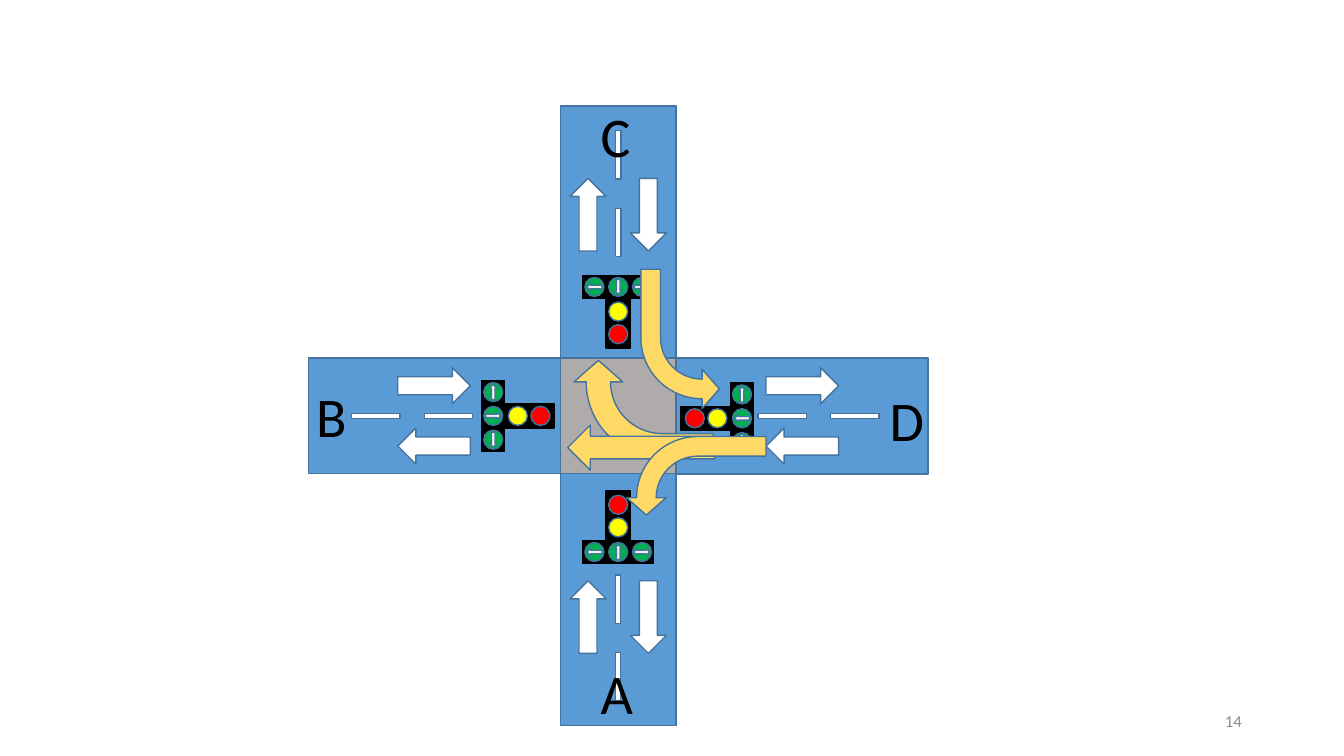
"""Build a slide showing a signalled four-way crossing with turning paths."""
from dataclasses import dataclass
from math import cos, radians, sin

from pptx import Presentation
from pptx.dml.color import RGBColor
from pptx.enum.shapes import MSO_SHAPE
from pptx.enum.text import MSO_ANCHOR, PP_ALIGN
from pptx.oxml.ns import qn
from pptx.util import Cm, Pt

ROAD = RGBColor(0x5B, 0x9B, 0xD5)
JUNCTION = RGBColor(0xAF, 0xAB, 0xAB)
OUTLINE = RGBColor(0x43, 0x73, 0x9E)
WHITE = RGBColor(0xFF, 0xFF, 0xFF)
BLACK = RGBColor(0x00, 0x00, 0x00)
GREEN = RGBColor(0x00, 0xB0, 0x50)
YELLOW = RGBColor(0xFF, 0xFF, 0x00)
RED = RGBColor(0xFF, 0x00, 0x00)
GLYPH = RGBColor(0xF2, 0xF2, 0xF2)
PATH = RGBColor(0xFF, 0xD9, 0x66)
GREY = RGBColor(0x8C, 0x8C, 0x8C)
FONT = "Calibri"
ROAD_LENGTH, ROAD_WIDTH = 6.35, 2.92
LANE = 0.76
BULB_GAP = 0.6


@dataclass
class Frame:
    """A centre in cm and a clockwise turn in degrees; x runs across, y outward."""
    x: float
    y: float
    turn: int = 0

    def point(self, across, out):
        """Return the slide position of a point in this frame."""
        c, s = cos(radians(self.turn)), sin(radians(self.turn))
        return self.x + across * c - out * s, self.y + across * s + out * c

    def shifted(self, across, out):
        """Return a frame with the same turn, centred on the given point."""
        return Frame(*self.point(across, out), self.turn)


@dataclass
class Arm:
    """The settings of one road leading to the junction."""
    label: str
    turn: int
    label_at: tuple
    dashes: tuple
    lanes_out: float
    signal_at: tuple


ARMS = (
    Arm("A", 0, (-0.09, 6.96), (4.62, 6.58), 5.07, (0, 2.81)),
    Arm("C", 180, (-0.09, -7.06), (4.62, 6.58), 5.07, (0, 2.63)),
    Arm("D", 270, (7.19, 0.08), (4.13, 5.96), 4.64, (-0.06, 2.5)),
    Arm("B", 90, (-7.26, 0), (4.28, 6.11), 4.64, (0, 2.53)),
)


def add_part(slide, kind, frame, centre, size, fill, turn=0, line=OUTLINE):
    """Add a filled shape centred on a point of the frame."""
    (x, y), (width, height) = frame.point(*centre), size
    part = slide.shapes.add_shape(kind, Cm(x - width / 2), Cm(y - height / 2),
                                  Cm(width), Cm(height))
    part.rotation = (frame.turn + turn) % 360
    part.shadow.inherit = False
    part.fill.solid()
    part.fill.fore_color.rgb = fill
    part.line.color.rgb = line
    part.line.width = Pt(1)
    return part


def add_text(slide, text, left, top, width, height, size, color,
             align=PP_ALIGN.LEFT, anchor=MSO_ANCHOR.TOP):
    """Add a one-paragraph text box."""
    frame = slide.shapes.add_textbox(Cm(left), Cm(top), Cm(width), Cm(height)).text_frame
    frame.word_wrap = True
    frame.vertical_anchor = anchor
    paragraph = frame.paragraphs[0]
    paragraph.text = text
    paragraph.alignment = align
    paragraph.font.name = FONT
    paragraph.font.size = Pt(size)
    paragraph.font.color.rgb = color


def draw_road(slide, frame, arm):
    """Draw one road with its centre dashes and lane arrows."""
    add_part(slide, MSO_SHAPE.RECTANGLE, frame, (0, (ROAD_WIDTH + ROAD_LENGTH) / 2),
             (ROAD_WIDTH, ROAD_LENGTH), ROAD)
    for out in arm.dashes:
        add_part(slide, MSO_SHAPE.RECTANGLE, frame, (0, out), (0.13, 1.22), WHITE)
    for across, turn in ((-LANE, 270), (LANE, 90)):
        add_part(slide, MSO_SHAPE.RIGHT_ARROW, frame, (across, arm.lanes_out),
                 (1.83, 0.91), WHITE, turn)


def draw_signal(slide, frame):
    """Draw a T-shaped traffic light centred on the frame."""
    row = 0.62
    add_part(slide, MSO_SHAPE.RECTANGLE, frame, (0, 0), (0.61, 1.83), BLACK, line=BLACK)
    for across in (-BULB_GAP, BULB_GAP):
        add_part(slide, MSO_SHAPE.RECTANGLE, frame, (across, row), (0.58, 0.58),
                 BLACK, line=BLACK)
    for out, color in ((0, YELLOW), (-0.57, RED)):
        add_part(slide, MSO_SHAPE.OVAL, frame, (0, out), (0.48, 0.48), color)
    for across, turn in ((-BULB_GAP, 180), (0, 270), (BULB_GAP, 0)):
        add_part(slide, MSO_SHAPE.OVAL, frame, (across, row), (0.48, 0.48), GREEN)
        add_part(slide, MSO_SHAPE.RIGHT_ARROW, frame, (across, row), (0.38, 0.18),
                 GLYPH, turn)


def draw_bend(slide, frame, centre, size, turn, flipped=False):
    """Draw a curved turning path."""
    bend = add_part(slide, MSO_SHAPE.BENT_ARROW, frame, centre, size, PATH, turn)
    for index, value in enumerate((0.25, 0.25, 0.22, 0.78)):
        bend.adjustments[index] = value
    if flipped:
        bend._element.spPr.find(qn("a:xfrm")).set("flipH", "1")


def draw_paths(slide, frame):
    """Draw the permitted movements through the junction."""
    draw_bend(slide, frame, (0.64, -0.17), (2.46, 3.51), 270)
    add_part(slide, MSO_SHAPE.DOWN_ARROW, frame, (0.58, 0.8), (1.14, 3.71), PATH, 90)
    draw_bend(slide, frame, (1.97, 1.51), (1.98, 3.51), 270, flipped=True)
    draw_bend(slide, frame, (1.56, -1.94), (1.98, 3.51), 180, flipped=True)


def draw_crossing(slide, centre):
    """Draw the junction, its four roads, signals, labels and paths."""
    add_part(slide, MSO_SHAPE.RECTANGLE, centre, (0, 0), (ROAD_WIDTH, ROAD_WIDTH), JUNCTION)
    for arm in ARMS:
        frame = Frame(centre.x, centre.y, arm.turn)
        draw_road(slide, frame, arm)
        draw_signal(slide, frame.shifted(*arm.signal_at))
        x, y = centre.point(*arm.label_at)
        add_text(slide, arm.label, x - 0.6, y - 0.98, 1.2, 1.96, 40, BLACK)
    draw_paths(slide, centre)


def main():
    """Create and save the presentation."""
    deck = Presentation()
    deck.slide_width, deck.slide_height = Cm(33.87), Cm(19.05)
    slide = deck.slides.add_slide(deck.slide_layouts[6])
    draw_crossing(slide, Frame(15.58, 10.48))
    add_text(slide, "14", 23.93, 17.65, 7.62, 1.02, 12, GREY,
             PP_ALIGN.RIGHT, MSO_ANCHOR.MIDDLE)
    deck.save("out.pptx")


main()
